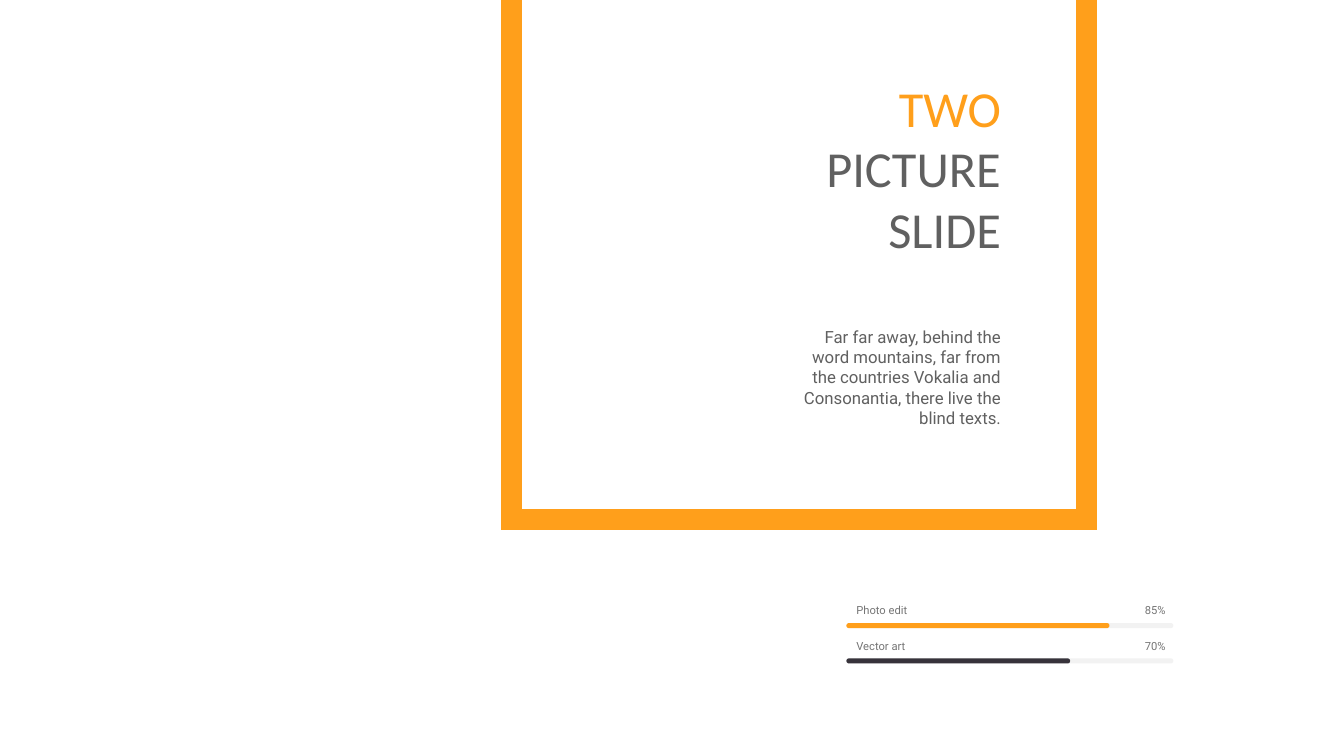
"""Build a slide with an orange frame, a right-aligned title and two skill bars."""
from typing import NamedTuple

from lxml import etree
from pptx import Presentation
from pptx import util as u
from pptx.dml.color import RGBColor
from pptx.enum import shapes, text
from pptx.oxml.ns import qn

ORANGE = RGBColor(0xFF, 0x9F, 0x1B)
DARK = RGBColor(0x37, 0x33, 0x3B)
TRACK = RGBColor(0xF2, 0xF2, 0xF2)
GREY = RGBColor(0x60, 0x60, 0x60)
LABEL_GREY = RGBColor(0x75, 0x75, 0x75)

BAR_LEFT, BAR_WIDTH, BAR_HEIGHT = 21.33, 8.24, 0.13
SKILL_TOP, SKILL_STEP, LABEL_HEIGHT = 15.09, 0.89, 0.61
NAME_WIDTH = 2.5
VALUE_LEFT, VALUE_WIDTH = 28.6, 1.04


class Skill(NamedTuple):
    name: str
    value: str
    bar_width: float
    color: RGBColor


SKILLS = [
    Skill("Photo edit", "85%", 6.63, ORANGE),
    Skill("Vector art", "70%", 5.64, DARK),
]


def place(shape, left: float, top: float, width: float, height: float) -> None:
    shape.left, shape.top = u.Cm(left), u.Cm(top)
    shape.width, shape.height = u.Cm(width), u.Cm(height)


def format_text(box, font: str, size: float, colors: list[RGBColor],
                align: text.PP_ALIGN, wrap: bool) -> None:
    frame = box.text_frame
    frame.word_wrap = wrap
    frame.auto_size = text.MSO_AUTO_SIZE.SHAPE_TO_FIT_TEXT
    frame.vertical_anchor = text.MSO_ANCHOR.TOP
    for para, color in zip(frame.paragraphs, colors):
        para.alignment = align
        para.space_before = u.Pt(0)
        for span in para.runs:
            span.font.name = font
            span.font.size = u.Pt(size)
            span.font.color.rgb = color


def add_label(parent, words: str, left: float, top: float, width: float) -> None:
    box = parent.add_textbox(u.Cm(left), u.Cm(top), u.Cm(width), u.Cm(LABEL_HEIGHT))
    box.text_frame.text = words
    format_text(box, "Roboto", 8, [LABEL_GREY], text.PP_ALIGN.LEFT, False)


def add_bar(parent, top: float, width: float, color: RGBColor) -> None:
    bar = parent.add_shape(shapes.MSO_SHAPE.ROUNDED_RECTANGLE, u.Cm(BAR_LEFT),
                           u.Cm(top), u.Cm(width), u.Cm(BAR_HEIGHT))
    bar.adjustments[0] = 0.5
    bar.shadow.inherit = False
    bar.fill.solid()
    bar.fill.fore_color.rgb = color
    bar.line.fill.background()


def add_skill(parent, skill: Skill, top: float) -> None:
    add_label(parent, skill.name, BAR_LEFT, top, NAME_WIDTH)
    add_label(parent, skill.value, VALUE_LEFT, top, VALUE_WIDTH)
    add_bar(parent, top + LABEL_HEIGHT, BAR_WIDTH, TRACK)
    add_bar(parent, top + LABEL_HEIGHT, skill.bar_width, skill.color)


def add_frame(page) -> None:
    frame = page.shapes.add_shape(shapes.MSO_SHAPE.RECTANGLE, u.Cm(12.88),
                                  u.Cm(-1.41), u.Cm(14.51), u.Cm(14.51))
    frame.shadow.inherit = False
    frame.fill.background()
    frame.line.color.rgb = ORANGE
    frame.line.width = u.Pt(15)
    outline = frame.line._get_or_add_ln()
    etree.SubElement(outline, qn("a:miter"), lim="800000")


def fill_title(title) -> None:
    place(title, 19.51, 1.81, 5.97, 4.88)
    title.text_frame.text = "TWO\nPICTURE\nSLIDE"
    format_text(title, "Calibri", 36, [ORANGE, GREY, GREY], text.PP_ALIGN.RIGHT, True)


def fill_body(body) -> None:
    place(body, 19.61, 8.11, 5.87, 2.82)
    body.text_frame.text = (
        "Far far away, behind the word mountains, far from the countries "
        "Vokalia and Consonantia, there live the blind texts."
    )
    properties = body.text_frame.paragraphs[0]._p.get_or_add_pPr()
    properties.set("marL", "0")
    properties.set("indent", "0")
    etree.SubElement(properties, qn("a:buNone"))
    format_text(body, "Roboto", 12, [GREY], text.PP_ALIGN.RIGHT, True)


def main() -> None:
    deck = Presentation()
    deck.slide_width, deck.slide_height = u.Cm(33.87), u.Cm(19.05)
    page = deck.slides.add_slide(deck.slide_layouts[1])
    add_frame(page)
    fill_title(page.shapes.title)
    fill_body(page.placeholders[1])
    skill_group = page.shapes.add_group_shape().shapes
    for index, skill in enumerate(SKILLS):
        add_skill(skill_group, skill, SKILL_TOP + index * SKILL_STEP)
    deck.save("out.pptx")


if __name__ == "__main__":
    main()
